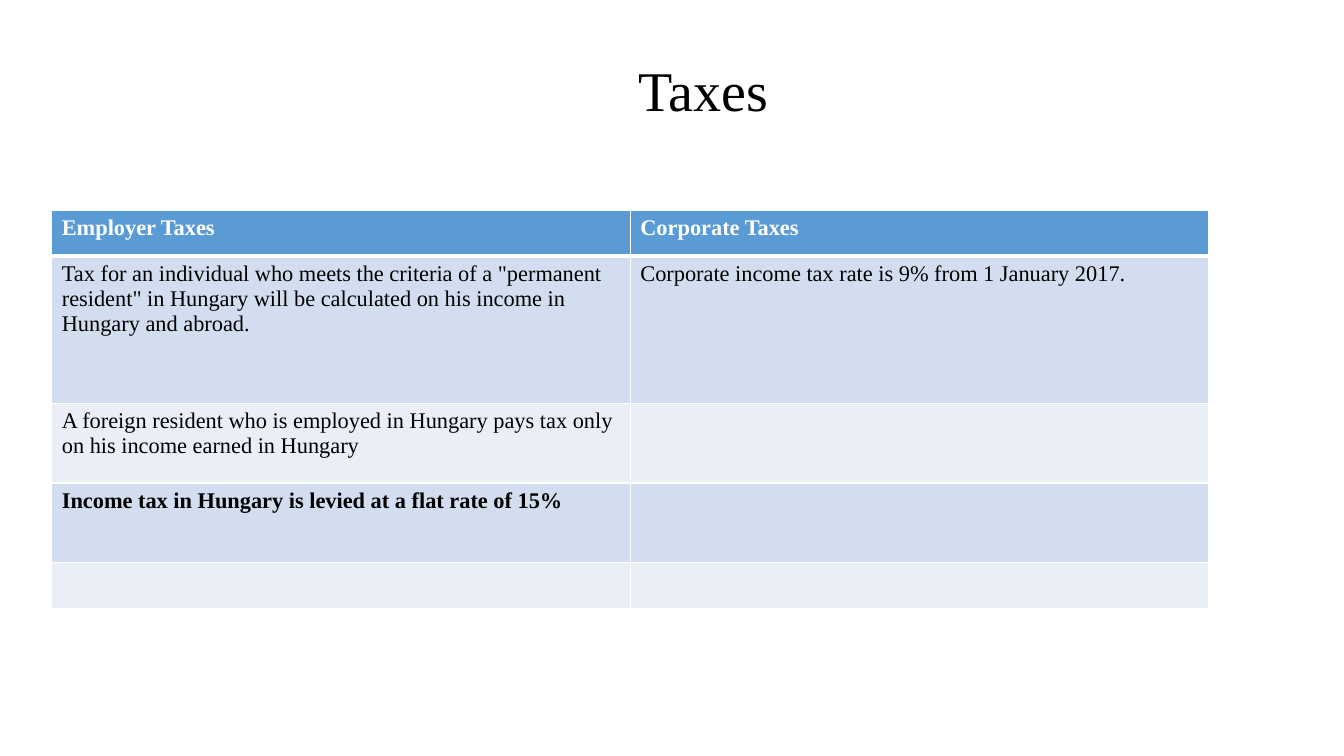
import dataclasses

import pptx
import pptx.dml.color
import pptx.enum.text
import pptx.oxml
import pptx.oxml.ns
import pptx.util

Pt = pptx.util.Pt


@dataclasses.dataclass(frozen=True)
class Theme:
    font: str = "Times New Roman"
    title_size: float = 40
    body_size: float = 16
    text: str = "000000"
    light: str = "FFFFFF"
    header: str = "5B9BD5"
    bands: tuple = ("D2DEEF", "EAEFF7")
    line: float = 1
    header_line: float = 3


class SlideBuilder:
    def __init__(self, prs, theme):
        self.theme = theme
        self.s = prs.slides.add_slide(prs.slide_layouts[5])

    def format_text(self, tf, size, color, bold=False):
        for p in tf.paragraphs:
            for r in p.runs:
                r.font.name = self.theme.font
                r.font.size = Pt(size)
                r.font.bold = bold
                r.font.color.rgb = pptx.dml.color.RGBColor.from_string(color)

    def title(self, text, left, top, width, height):
        sp = self.s.shapes.title
        sp.left, sp.top, sp.width, sp.height = map(Pt, (left, top, width, height))
        tf = sp.text_frame
        tf.text = text
        tf.vertical_anchor = pptx.enum.text.MSO_ANCHOR.MIDDLE
        p = tf.paragraphs[0]
        p.alignment = pptx.enum.text.PP_ALIGN.CENTER
        p.line_spacing = 0.9
        self.format_text(tf, self.theme.title_size, self.theme.text)

    def borders(self, cell, top, bottom):
        tcPr = cell._tc.get_or_add_tcPr()
        widths = {"L": self.theme.line, "R": self.theme.line, "T": top, "B": bottom}
        for side, width in widths.items():
            tcPr.append(pptx.oxml.parse_xml(
                f'<a:ln{side} {pptx.oxml.ns.nsdecls("a")} w="{Pt(width)}">'
                f'<a:solidFill><a:srgbClr val="{self.theme.light}"/></a:solidFill>'
                f'</a:ln{side}>'))

    def table(self, rows, heights, left, top, width, bold_rows):
        t = self.theme
        columns = len(rows[0])
        table = self.s.shapes.add_table(
            len(rows), columns, Pt(left), Pt(top), Pt(width), Pt(sum(heights))).table
        for column in table.columns:
            column.width = Pt(width / columns)
        for i, (texts, height) in enumerate(zip(rows, heights)):
            table.rows[i].height = Pt(height)
            fill = t.bands[(i - 1) % 2] if i else t.header
            for j, text in enumerate(texts):
                cell = table.cell(i, j)
                self.borders(cell,
                             top=t.header_line if i == 1 else t.line,
                             bottom=t.header_line if i == 0 else t.line)
                cell.fill.solid()
                cell.fill.fore_color.rgb = pptx.dml.color.RGBColor.from_string(fill)
                if text:
                    cell.text_frame.text = text
                    self.format_text(cell.text_frame, t.body_size,
                                     t.text if i else t.light, i in bold_rows)


def main():
    prs = pptx.Presentation()
    prs.slide_width, prs.slide_height = Pt(960), Pt(540)
    slide = SlideBuilder(prs, Theme())

    # Title
    slide.title("Taxes", 88.5, 36, 828, 62)

    # Tax table
    rows = [
        ("Employer Taxes", "Corporate Taxes"),
        ('Tax for an individual who meets the criteria of a "permanent resident" '
         "in Hungary will be calculated on his income in Hungary and abroad.",
         "Corporate income tax rate is 9% from 1 January 2017."),
        ("A foreign resident who is employed in Hungary pays tax only "
         "on his income earned in Hungary", ""),
        ("Income tax in Hungary is levied at a flat rate of 15%", ""),
        ("", ""),
    ]
    slide.table(rows, heights=(33, 105, 57, 57, 33),
                left=37, top=150, width=826.5, bold_rows=(0, 3))

    prs.save("out.pptx")


if __name__ == "__main__":
    main()
